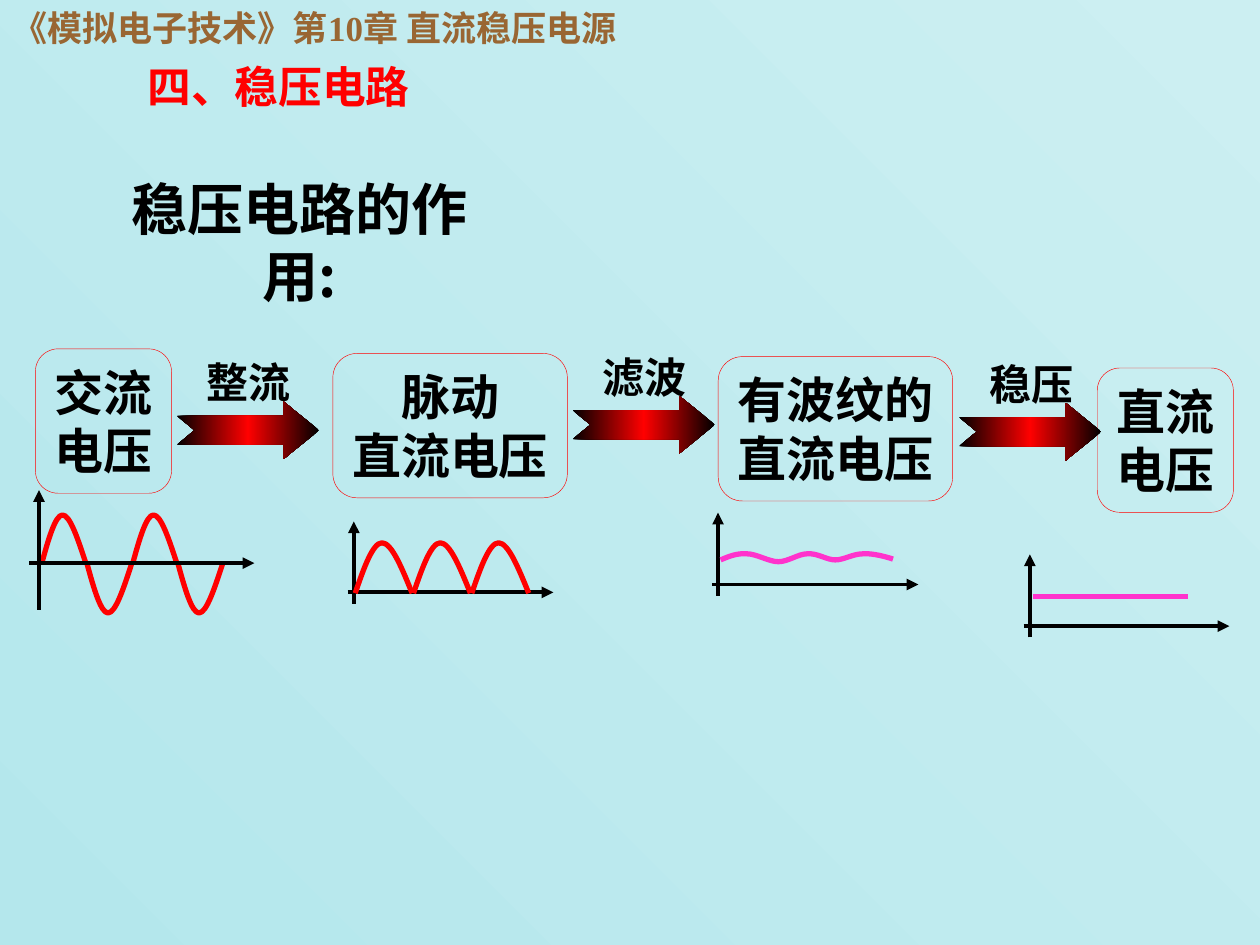
from copy import deepcopy
from dataclasses import dataclass

from lxml.etree import SubElement
from pptx import Presentation
from pptx.dml.color import RGBColor
from pptx.enum.shapes import MSO_CONNECTOR, MSO_SHAPE
from pptx.enum.text import MSO_ANCHOR, MSO_AUTO_SIZE, PP_ALIGN
from pptx.oxml.ns import qn
from pptx.util import Pt


@dataclass(frozen=True)
class Theme:
    """Colours, fonts and sizes of the slide."""
    background: tuple = ("B4E7EC", "CCEFF2")
    ink: str = "000000"
    red: str = "FF0000"
    brown: str = "996633"
    magenta: str = "FF33CC"
    latin: str = "Times New Roman"
    chinese: str = "Noto Sans CJK SC"
    header: int = 20
    title: int = 25
    heading: int = 32
    stage: int = 28
    label: int = 24
    leading: float = 1.19
    axis: float = 2.25
    signal: float = 3
    outline: float = 0.25


@dataclass(frozen=True)
class Box:
    """A rectangle in points."""
    left: float
    top: float
    width: float
    height: float

    def lengths(self):
        """Return the four lengths for python-pptx."""
        return Pt(self.left), Pt(self.top), Pt(self.width), Pt(self.height)


THEME = Theme()


def colour(value):
    """Turn a hex string into a colour."""
    return RGBColor.from_string(value)


def write(shape, lines, size, ink=THEME.ink, latin=THEME.chinese, align=PP_ALIGN.CENTER,
          anchor=MSO_ANCHOR.MIDDLE, side=7.2, wrap=False, leading=None):
    """Fill a shape with bold paragraphs."""
    frame = shape.text_frame
    frame.auto_size = MSO_AUTO_SIZE.NONE
    frame.word_wrap = wrap
    frame.vertical_anchor = anchor
    frame.margin_left = frame.margin_right = Pt(side)
    frame.margin_top = frame.margin_bottom = Pt(3.6)
    for index, line in enumerate(lines):
        paragraph = frame.add_paragraph() if index else frame.paragraphs[0]
        paragraph.alignment = align
        if leading:
            paragraph.line_spacing = Pt(round(size * leading, 1))
        run = paragraph.add_run()
        run.text = line
        run.font.size = Pt(size)
        run.font.bold = True
        run.font.color.rgb = colour(ink)
        run.font.name = latin
        SubElement(run.font._element, qn("a:ea"), typeface=THEME.chinese)


def add_text(slide, box, *arguments, **options):
    """Add a text box."""
    write(slide.shapes.add_textbox(*box.lengths()), *arguments, **options)


def add_title(slide, box):
    """Place the slide title."""
    title = slide.shapes.title
    title.left, title.top, title.width, title.height = box.lengths()
    write(title, ["四、稳压电路"], THEME.title, THEME.red, THEME.latin, wrap=True)


def add_stage(slide, box, lines):
    """Draw one rounded stage of the chain."""
    shape = slide.shapes.add_shape(MSO_SHAPE.FLOWCHART_ALTERNATE_PROCESS, *box.lengths())
    shape.shadow.inherit = False
    shape.fill.background()
    shape.line.color.rgb = colour(THEME.red)
    shape.line.width = Pt(THEME.outline)
    write(shape, lines, THEME.stage, leading=THEME.leading)


def add_step(slide, box, label):
    """Draw a notched arrow along the bottom of the box, with its label above."""
    arrow_height = 33
    arrow_box = Box(box.left, box.top + box.height - arrow_height, box.width, arrow_height)
    arrow = slide.shapes.add_shape(MSO_SHAPE.NOTCHED_RIGHT_ARROW, *arrow_box.lengths())
    arrow.shadow.inherit = False
    arrow.adjustments[0], arrow.adjustments[1] = 0.5, 0.62
    arrow.line.fill.background()
    arrow.fill.gradient()
    arrow.fill.gradient_angle = 0
    for stop in arrow.fill.gradient_stops:
        stop.color.rgb = colour(THEME.ink)
    first = arrow._element.spPr.find(qn("a:gradFill")).find(qn("a:gsLst"))[0]
    first.addnext(deepcopy(first))
    middle = arrow.fill.gradient_stops[1]
    middle.position = 0.5
    middle.color.rgb = colour(THEME.red)
    add_text(slide, Box(box.left + 10.2, box.top, 62, 36), [label], THEME.label)


def add_line(slide, start, end, ink, width, arrow=False):
    """Draw a straight line, with an arrowhead on request."""
    line = slide.shapes.add_connector(MSO_CONNECTOR.STRAIGHT, *map(Pt, start + end))
    line.line.color.rgb = colour(ink)
    line.line.width = Pt(width)
    if arrow:
        SubElement(line.line._get_or_add_ln(), qn("a:tailEnd"), type="triangle")
    SubElement(line._element.spPr, qn("a:effectLst"))


def add_axes(slide, box, origin):
    """Draw two arrowed axes that cross at the origin."""
    x, y = origin
    add_line(slide, (x, box.top + box.height), (x, box.top), THEME.ink, THEME.axis, True)
    add_line(slide, (box.left, y), (box.left + box.width, y), THEME.ink, THEME.axis, True)


def add_curve(slide, points, ink):
    """Draw an open chain of cubic curves from a start and triples of control points."""
    start, *controls = [(Pt(x), Pt(y)) for x, y in points]
    builder = slide.shapes.build_freeform(*start)
    builder.add_line_segments(controls, close=False)
    curve = builder.convert_to_shape()
    segments = list(curve._element.spPr.iter(qn("a:lnTo")))
    outline = segments[0].getparent()
    for first in range(0, len(segments), 3):
        cubic = SubElement(outline, qn("a:cubicBezTo"))
        for segment in segments[first:first + 3]:
            cubic.append(segment[0])
            outline.remove(segment)
    curve.shadow.inherit = False
    curve.fill.background()
    curve.line.color.rgb = colour(ink)
    curve.line.width = Pt(THEME.signal)


def add_lobes(slide, start, pitch, width, heights):
    """Draw a row of half waves, one for each signed height."""
    profile = ((0, 0), (0.15, 0.5), (0.31, 1), (0.47, 1), (0.64, 1), (0.82, 0.5), (1, 0))
    for index, height in enumerate(heights):
        left = start[0] + index * pitch
        add_curve(slide, [(left + x * width, start[1] - y * height) for x, y in profile], THEME.red)


def add_alternating_plot(slide, box):
    """Plot the alternating voltage."""
    origin = box.left + 5.7, box.top + 41.7
    add_lobes(slide, (origin[0] + 1.5, origin[1] + 0.5), 26, 25.4, (28, -28, 28, -28))
    add_axes(slide, box, origin)


def add_pulsating_plot(slide, box):
    """Plot the rectified voltage."""
    origin = box.left + 3.5, box.top + 40.5
    add_axes(slide, box, origin)
    add_lobes(slide, (origin[0] + 0.8, origin[1] + 0.5), 33.3, 32.5, (28.8,) * 3)


def add_ripple_plot(slide, box):
    """Plot the filtered voltage with its ripple."""
    origin = box.left + 3.5, box.top + 41
    add_axes(slide, box, origin)
    offsets = ((1.5, 14), (6, 16), (11, 18), (16.5, 17.5), (22, 17.5), (29, 13), (34.5, 13),
               (40, 13), (46, 17.5), (51, 17.5), (57, 18), (62, 14), (67, 14), (72, 14),
               (77, 17.5), (83, 17.5), (88.5, 18), (97, 15.5), (100, 14.5))
    add_curve(slide, [(origin[0] + x, origin[1] - y) for x, y in offsets], THEME.magenta)


def add_direct_plot(slide, box):
    """Plot the steady voltage."""
    x, y = box.left + 3.5, box.top + 41
    add_axes(slide, box, (x, y))
    add_line(slide, (x + 2, y - 17), (x + 90.5, y - 17), THEME.magenta, THEME.signal)


def build_slide(presentation):
    """Build the voltage regulation slide."""
    slide = presentation.slides.add_slide(presentation.slide_layouts[5])
    fill = slide.background.fill
    fill.gradient()
    fill.gradient_angle = 45
    for stop, value in zip(fill.gradient_stops, THEME.background):
        stop.color.rgb = colour(value)
    add_text(slide, Box(0, 0, 445, 31.7), ["《模拟电子技术》第10章 直流稳压电源"], THEME.header,
             THEME.brown, THEME.latin, PP_ALIGN.LEFT, MSO_ANCHOR.TOP)
    add_title(slide, Box(21.6, 28.8, 275, 40.3))
    add_text(slide, Box(43.2, 115.2, 255.6, 46), ["稳压电路的作用:"], THEME.heading,
             side=20, wrap=True, leading=THEME.leading)
    for left, top, width, lines in ((20.2, 199.4, 77.8, ("交流", "电压")),
                                    (190.2, 202, 134, ("脉动", "直流电压")),
                                    (410.4, 203.8, 134, ("有波纹的", "直流电压")),
                                    (627, 210.3, 77.8, ("直流", "电压"))):
        add_stage(slide, Box(left, top, width, 82.5), lines)
    for left, top, label in ((101, 200.2, "整流"), (327.2, 197, "滤波"), (548, 201, "稳压")):
        add_step(slide, Box(left, top, 81.4, 62.2), label)
    add_alternating_plot(slide, Box(16.6, 280.1, 128.8, 68.4))
    add_pulsating_plot(slide, Box(198.7, 298, 117.5, 47))
    add_ripple_plot(slide, Box(406.8, 293, 118, 47.5))
    add_direct_plot(slide, Box(585, 316.8, 117.5, 47.5))


def main():
    """Create and save the presentation."""
    presentation = Presentation()
    presentation.slide_width, presentation.slide_height = Pt(720), Pt(540)
    build_slide(presentation)
    presentation.save("out.pptx")


if __name__ == "__main__":
    main()
